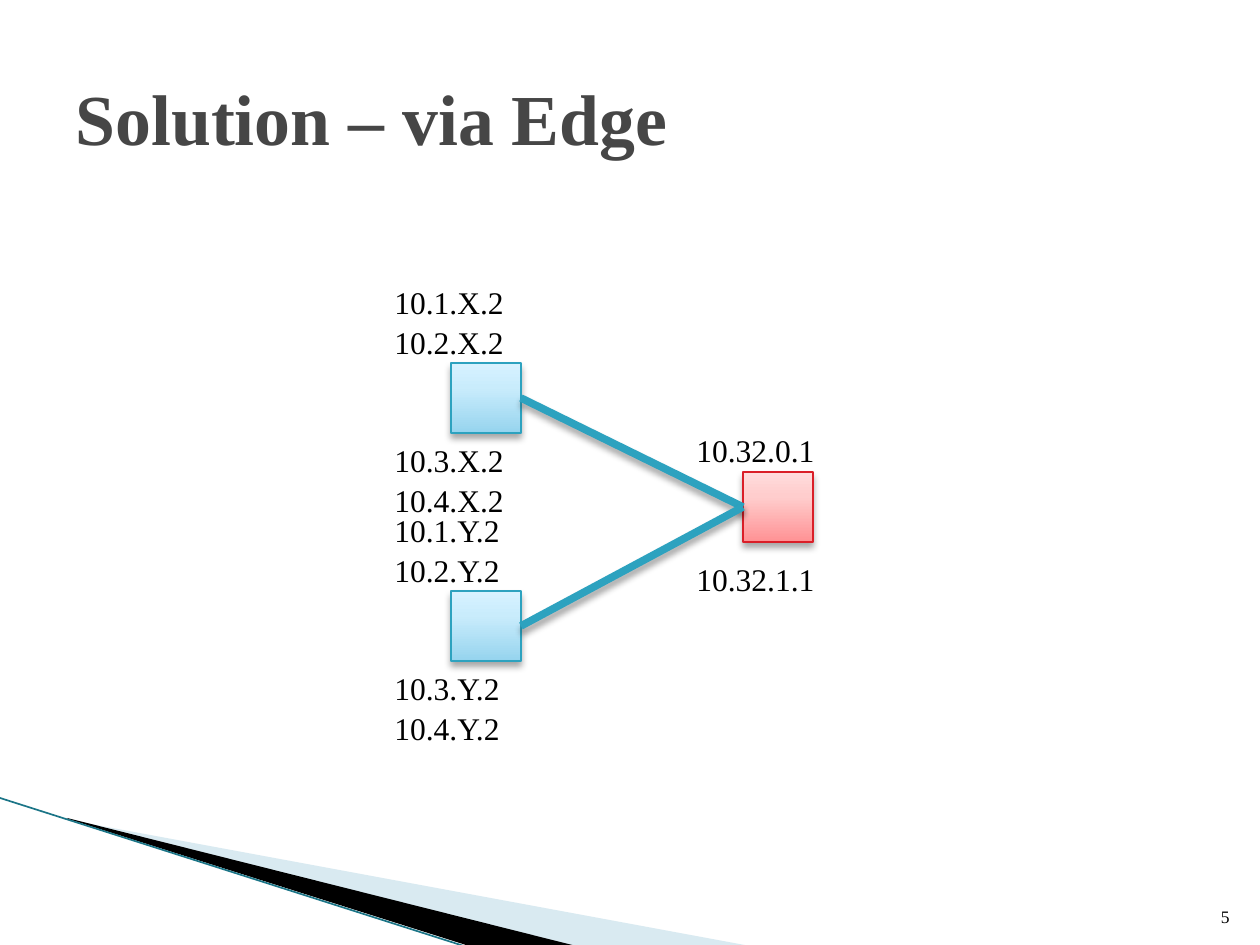
"""Builds the "Solution – via Edge" slide with its small network diagram."""
from lxml import etree
from pptx import Presentation
from pptx.dml.color import RGBColor as RGB
from pptx.enum.shapes import MSO_CONNECTOR as LINK, MSO_SHAPE as SHAPE
from pptx.enum.text import MSO_ANCHOR as ANCHOR, PP_ALIGN as ALIGN
from pptx.oxml import parse_xml
from pptx.oxml.ns import nsdecls, qn
from pptx.util import Pt

PX = 914400 / 126
FONT = "Times New Roman"
HUE = {
    "title": "464646", "text": "000000", "wedge": "A0CBDC", "dark": "000000",
    "edge": "1B7587", "blue": "2DA2BF", "red": "DA1F28", "shade": "000000",
}
FADE = {
    "blue": ["96D4EE", "C9ECFC", "D7F2FF"],
    "red": ["FF9294", "FFCDCD", "FFDCDC"],
}

deck = Presentation()
deck.slide_width, deck.slide_height = round(1260 * PX), round(945 * PX)
slide = deck.slides.add_slide(deck.slide_layouts[5])
shapes = slide.shapes


def write(frame, lines, size, hue, align=ALIGN.LEFT, space=None, bold=False):
    for i, line in enumerate(lines):
        para = frame.add_paragraph() if i else frame.paragraphs[0]
        para.alignment = align
        para.line_spacing = space
        run = para.add_run()
        run.text = line
        font = run.font
        font.name, font.size, font.bold = FONT, Pt(size), bold
        font.color.rgb = RGB.from_string(HUE[hue])


def shade(props):
    for old in props.findall(qn("a:effectLst")):
        props.remove(old)
    props.append(parse_xml(
        f'<a:effectLst {nsdecls("a")}>'
        '<a:outerShdw blurRad="50800" dist="38100" dir="5400000" rotWithShape="0">'
        f'<a:srgbClr val="{HUE["shade"]}"><a:alpha val="35000"/></a:srgbClr>'
        '</a:outerShdw></a:effectLst>'))


wedges = [
    ("wedge", [(69, 820), (750, 946), (575, 946), (69, 819)]),
    ("dark", [(67, 818), (576, 946), (469, 946), (68, 819)]),
]
for hue, dots in wedges:
    pen = shapes.build_freeform(*dots[0], scale=PX)
    pen.add_line_segments(dots[1:], close=True)
    wedge = pen.convert_to_shape()
    wedge.shadow.inherit = False
    wedge.fill.solid()
    wedge.fill.fore_color.rgb = RGB.from_string(HUE[hue])
    wedge.line.fill.background()
    if hue == "wedge":
        tint = wedge._element.spPr.find(".//" + qn("a:srgbClr"))
        etree.SubElement(tint, qn("a:alpha"), val="40000")

edge = shapes.add_connector(
    LINK.STRAIGHT, 0, round(798 * PX), round(467 * PX), round(947 * PX))
edge.line.width = Pt(0.95)
edge.line.color.rgb = RGB.from_string(HUE["edge"])
etree.SubElement(edge._element.spPr, qn("a:effectLst"))

title = shapes.title
title.left, title.top, title.width, title.height = [
    round(n * PX) for n in (63, 38, 1134, 158)]
title.text_frame.vertical_anchor = ANCHOR.MIDDLE
write(title.text_frame, ["Solution – via Edge"], 41, "title", bold=True)

page = shapes.add_textbox(*[round(n * PX) for n in (1192, 883, 50, 50)])
page.text_frame.word_wrap = True
page.text_frame.vertical_anchor = ANCHOR.BOTTOM
write(page.text_frame, ["5"], 10, "text", ALIGN.RIGHT)

nodes = []
for hue, x, y in [("blue", 451, 363), ("blue", 451, 591), ("red", 743, 472)]:
    node = shapes.add_shape(SHAPE.RECTANGLE, *[round(n * PX) for n in (x, y, 70, 70)])
    node.shadow.inherit = False
    node.fill.gradient()
    node.fill.gradient_angle = 90
    props = node._element.spPr
    stops = props.find(".//" + qn("a:gsLst"))
    for old in list(stops):
        stops.remove(old)
    for pos, tone in zip((0, 65, 100), FADE[hue]):
        stop = etree.SubElement(stops, qn("a:gs"), pos=str(pos * 1000))
        etree.SubElement(stop, qn("a:srgbClr"), val=tone)
    node.line.width = Pt(0.75)
    node.line.color.rgb = RGB.from_string(HUE[hue])
    shade(props)
    nodes.append(node)

hub = nodes.pop()
for node in nodes:
    link = shapes.add_connector(LINK.STRAIGHT, 0, 0, 0, 0)
    link.begin_connect(node, 3)
    link.end_connect(hub, 1)
    link.line.width = Pt(4.33)
    link.line.color.rgb = RGB.from_string(HUE["blue"])
    shade(link._element.spPr)

labels = [(684, 423, 145, 50, ["10.32.0.1"]), (684, 552, 145, 50, ["10.32.1.1"])]
for name, top in [("X", 275), ("Y", 503)]:
    for first, y in [(1, top), (3, top + 158)]:
        lines = [f"10.{n}.{name}.2" for n in (first, first + 1)]
        labels.append((382, y, 136, 89, lines))
for *spot, lines in labels:
    label = shapes.add_textbox(*[round(n * PX) for n in spot])
    label.text_frame.word_wrap = False
    write(label.text_frame, lines, 18, "text", space=1.05)

deck.save("out.pptx")
